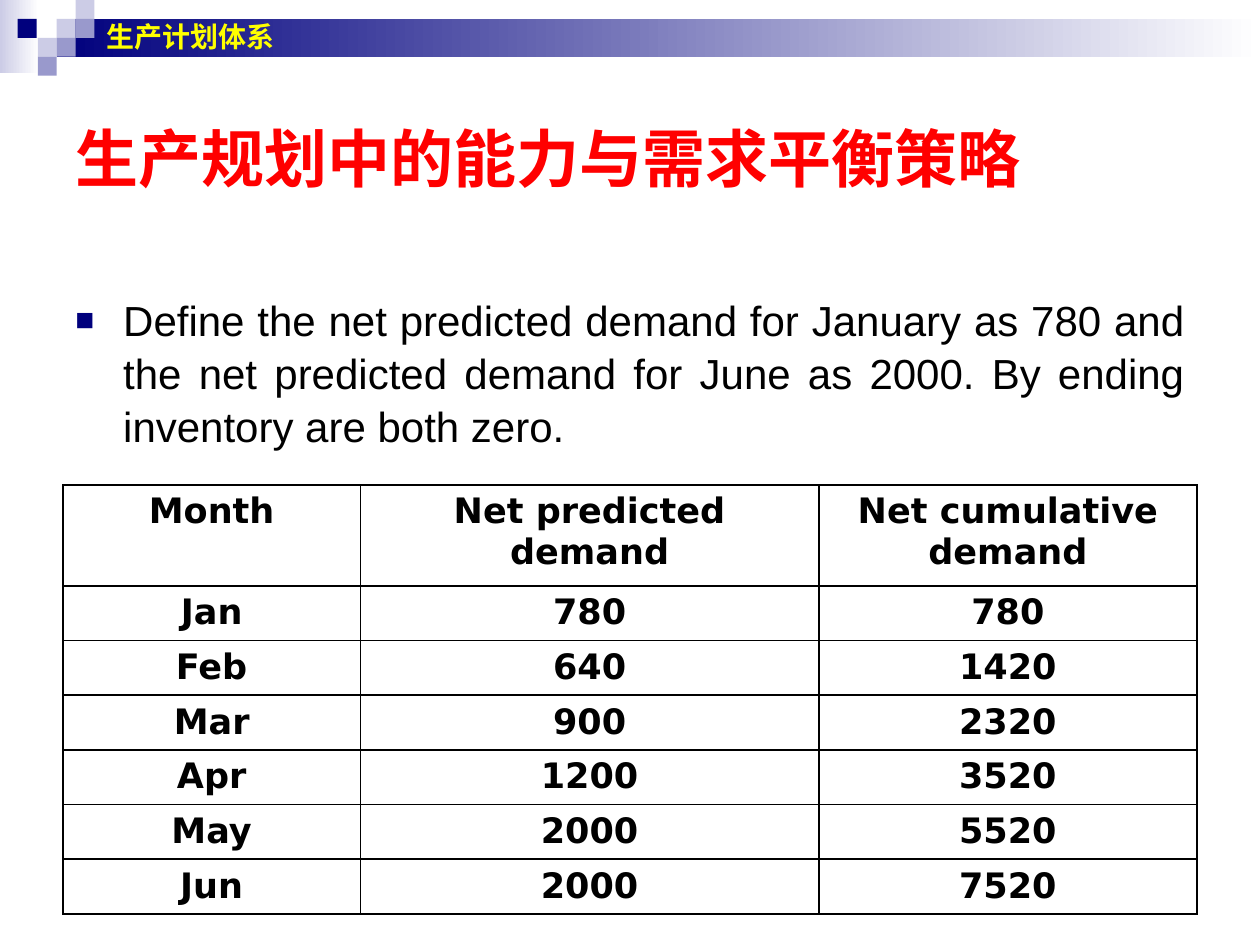
"""Build the capacity and demand balancing slide with its monthly demand table."""
from typing import NamedTuple, Optional

from lxml import etree
from pptx import Presentation
from pptx.dml.color import RGBColor
from pptx.enum import shapes, text
from pptx.oxml import ns
from pptx.util import Inches, Pt

COLORS = {
    "navy": "00007D", "lilac": "9999CC", "pale": "CCCCE6", "white": "FFFFFF",
    "black": "000000", "red": "FF0000", "yellow": "FFFF00",
}


class Block(NamedTuple):
    x: float
    y: float
    color: str
    w: float = 0.15
    h: float = 0.15
    fade_to: Optional[str] = None


class Style(NamedTuple):
    size: int
    font: str
    color: str
    bold: bool = True


BLOCKS = [
    Block(0, 0, "pale", 0.31, 0.58, "white"),
    Block(0.45, 0.15, "navy", 9.55, 0.3, "white"),
    Block(0.45, 0.15, "pale"),
    Block(0.6, 0, "pale"),
    Block(0.6, 0.15, "lilac"),
    Block(0.3, 0.3, "pale"),
    Block(0.14, 0.15, "navy"),
    Block(0.45, 0.3, "lilac"),
    Block(0.3, 0.45, "lilac"),
]
HEADER = ("Month", "Net predicted demand", "Net cumulative demand")
DEMAND = {"Jan": 780, "Feb": 640, "Mar": 900, "Apr": 1200, "May": 2000, "Jun": 2000}
CUMULATIVE = (780, 1420, 2320, 3520, 5520, 7520)
COL_WIDTHS = (2.36, 3.64, 3)
ROW_HEIGHTS = (0.8,) + (0.43,) * len(DEMAND)

TITLE = Style(36, "Times New Roman", "red")
BANNER = Style(16, "Arial", "yellow")
BODY = Style(24, "Arial", "black", False)
CELL = Style(20, "DejaVu Sans", "black")


def rgb(name: str) -> RGBColor:
    return RGBColor.from_string(COLORS[name])


def add_element(parent, tag: str, **attrs: str):
    return etree.SubElement(parent, ns.qn(tag), attrs)


def add_run(p, words: str, style: Style) -> None:
    r = p.add_run()
    r.text = words
    r.font.size = Pt(style.size)
    r.font.name = style.font
    r.font.bold = style.bold
    r.font.color.rgb = rgb(style.color)


def add_block(s, block: Block) -> None:
    sp = s.shapes.add_shape(
        shapes.MSO_SHAPE.RECTANGLE,
        Inches(block.x), Inches(block.y), Inches(block.w), Inches(block.h))
    sp.shadow.inherit = False
    sp.line.fill.background()
    if block.fade_to is None:
        sp.fill.solid()
        sp.fill.fore_color.rgb = rgb(block.color)
        return
    sp.fill.gradient()
    sp.fill.gradient_angle = 0
    ends = ((0, block.color), (1, block.fade_to))
    for stop, (position, color) in zip(sp.fill.gradient_stops, ends):
        stop.position = position
        stop.color.rgb = rgb(color)


def add_text_box(s, x: float, y: float, w: float, h: float):
    tf = s.shapes.add_textbox(Inches(x), Inches(y), Inches(w), Inches(h)).text_frame
    tf.word_wrap = True
    return tf


def add_bullet(p) -> None:
    pPr = p._p.get_or_add_pPr()
    pPr.set("marL", str(Inches(0.38)))
    pPr.set("indent", str(Inches(-0.38)))
    add_element(add_element(pPr, "a:buClr"), "a:srgbClr", val=COLORS["navy"])
    add_element(pPr, "a:buSzPct", val="75000")
    add_element(pPr, "a:buFont", typeface="Arial")
    add_element(pPr, "a:buChar", char="■")


def fill_cell(cell, words: str) -> None:
    tcPr = cell._tc.get_or_add_tcPr()
    for side in ("a:lnL", "a:lnR", "a:lnT", "a:lnB"):
        ln = add_element(tcPr, side, w=str(Pt(1)))
        add_element(add_element(ln, "a:solidFill"), "a:srgbClr", val=COLORS["black"])
    cell.fill.solid()
    cell.fill.fore_color.rgb = rgb("white")
    p = cell.text_frame.paragraphs[0]
    p.alignment = text.PP_ALIGN.CENTER
    add_run(p, words, CELL)


def add_demand_table(s) -> None:
    rows = [HEADER] + [(month, str(net), str(total))
                       for (month, net), total in zip(DEMAND.items(), CUMULATIVE)]
    table = s.shapes.add_table(
        len(rows), len(HEADER), Inches(0.5), Inches(3.85),
        Inches(sum(COL_WIDTHS)), Inches(sum(ROW_HEIGHTS))).table
    table.first_row = table.horz_banding = False
    for column, width in zip(table.columns, COL_WIDTHS):
        column.width = Inches(width)
    for row, height, values in zip(table.rows, ROW_HEIGHTS, rows):
        row.height = Inches(height)
        for cell, words in zip(row.cells, values):
            fill_cell(cell, words)


def main() -> None:
    prs = Presentation()
    prs.slide_width, prs.slide_height = Inches(10), Inches(7.5)
    s = prs.slides.add_slide(prs.slide_layouts[5])

    for block in BLOCKS:
        add_block(s, block)

    title = s.shapes.title
    title.left, title.top = Inches(0.5), Inches(0.5)
    title.width, title.height = Inches(9), Inches(1.5)
    title.text_frame.vertical_anchor = text.MSO_ANCHOR.MIDDLE
    p = title.text_frame.paragraphs[0]
    p.alignment = text.PP_ALIGN.LEFT
    add_run(p, "生产规划中的能力与需求平衡策略", TITLE)

    p = add_text_box(s, 0.5, 2.27, 9, 1.42).paragraphs[0]
    p.alignment = text.PP_ALIGN.JUSTIFY
    p.line_spacing = 1.05
    add_bullet(p)
    add_run(p, "Define the net predicted demand for January as 780 and the net "
               "predicted demand for June as 2000. By ending inventory are both zero.", BODY)

    add_demand_table(s)

    tf = add_text_box(s, 0.75, 0, 8.83, 0.58)
    tf.vertical_anchor = text.MSO_ANCHOR.MIDDLE
    add_run(tf.paragraphs[0], "生产计划体系", BANNER)

    prs.save("out.pptx")


if __name__ == "__main__":
    main()
